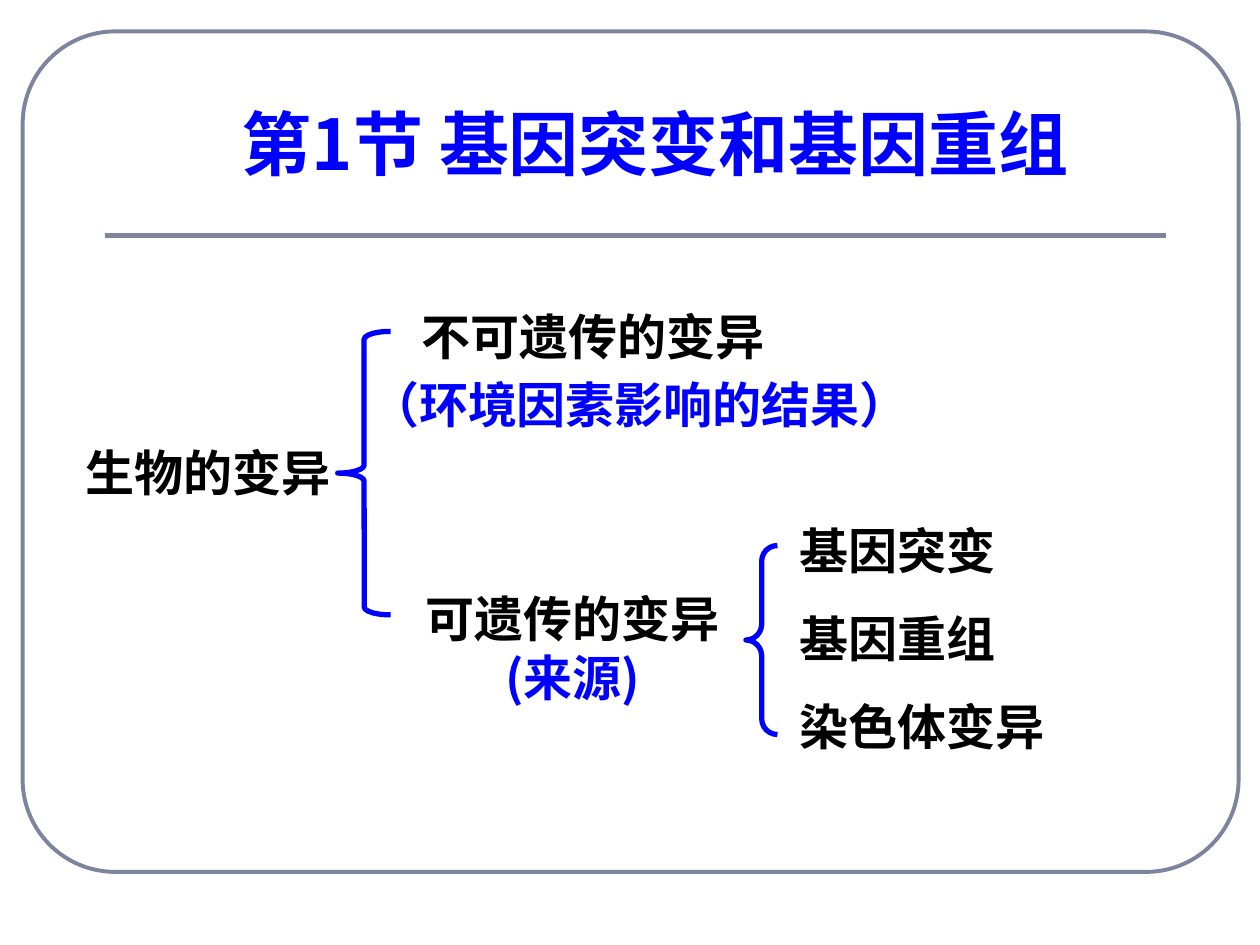
from dataclasses import dataclass

from lxml import etree
from pptx import Presentation
from pptx.dml.color import RGBColor
from pptx.enum import shapes, text
from pptx.oxml.ns import qn
from pptx.util import Inches, Pt


@dataclass(frozen=True)
class Theme:
    cjk_font: str = "Noto Sans CJK SC"
    latin_font: str = "Arial"
    black: RGBColor = RGBColor(0x00, 0x00, 0x00)
    blue: RGBColor = RGBColor(0x00, 0x00, 0xFF)
    frame: RGBColor = RGBColor(0x7C, 0x84, 0x9E)
    title_size: Pt = Pt(40)
    body_size: Pt = Pt(28)
    frame_line: Pt = Pt(2.25)
    heavy_line: Pt = Pt(3)


THEME = Theme()
CENTER = text.PP_ALIGN.CENTER
LABEL_HEIGHT = 0.57


def set_line(shape, color, width):
    shape.line.color.rgb = color
    shape.line.width = width


def add_outline(slide, preset, box, adjustments, color, width):
    """Add an unfilled preset shape in box (left, top, width, height)."""
    shape = slide.shapes.add_shape(preset, *map(Inches, box))
    shape.shadow.inherit = False
    shape.fill.background()
    for index, value in enumerate(adjustments):
        shape.adjustments[index] = value
    set_line(shape, color, width)


def add_label(slide, box, lines, size=THEME.body_size, font=THEME.cjk_font,
              align=None, wrap=True):
    """Add bold text; lines is a list of (wording, color) pairs."""
    frame = slide.shapes.add_textbox(*map(Inches, box)).text_frame
    frame.word_wrap = wrap
    for index, (wording, color) in enumerate(lines):
        paragraph = frame.add_paragraph() if index else frame.paragraphs[0]
        paragraph.alignment = align
        run = paragraph.add_run()
        run.text = wording
        for name, value in {"size": size, "bold": True, "name": font}.items():
            setattr(run.font, name, value)
        run.font.color.rgb = color
        east_asian = etree.Element(qn("a:ea"), typeface=THEME.cjk_font)
        run._r.rPr.find(qn("a:latin")).addnext(east_asian)


def add_frame(slide, box):
    left, top, width, _ = box
    add_outline(slide, shapes.MSO_SHAPE.ROUNDED_RECTANGLE, box, [0.11],
                THEME.frame, THEME.frame_line)
    rule_left, rule_top = left + 0.65, top + 1.62
    rule = slide.shapes.add_connector(
        shapes.MSO_CONNECTOR.STRAIGHT, Inches(rule_left), Inches(rule_top),
        Inches(left + width - 0.58), Inches(rule_top))
    set_line(rule, THEME.frame, THEME.heavy_line)
    etree.SubElement(rule._element.spPr, qn("a:effectLst"))


def add_title(slide, box):
    add_label(slide, box, [("第1节 基因突变和基因重组", THEME.blue)],
              size=THEME.title_size, align=CENTER)


def add_brace(slide, box, curve):
    add_outline(slide, shapes.MSO_SHAPE.LEFT_BRACE, box, [curve, 0.5],
                THEME.blue, THEME.heavy_line)


def add_variation_branches(slide, box):
    """Place the root, its brace and the two kinds of variation."""
    left, top, _, _ = box
    add_label(slide, (left, top + 1.08, 3.08, LABEL_HEIGHT),
              [("生物的变异", THEME.black)])
    add_brace(slide, (left + 2.1, top + 0.25, 0.42, 2.25), 0.15)
    add_label(slide, (left + 2.67, top, 4.55, LABEL_HEIGHT),
              [("不可遗传的变异", THEME.black)])
    add_label(slide, (left + 2.6, top + 2.24, 2.73, 1.04),
              [("可遗传的变异", THEME.black), ("(来源)", THEME.blue)],
              align=CENTER)
    add_label(slide, (left + 2.26, top + 0.54, 4.47, LABEL_HEIGHT),
              [("（环境因素影响的结果）", THEME.blue)],
              font=THEME.latin_font, wrap=False)


def add_sources(slide, box):
    """Place the brace and the three sources of heritable variation."""
    left, top, width, _ = box
    add_brace(slide, (left, top + 0.25, 0.25, 1.5), 0.5)
    for row, source in enumerate(("基因突变", "基因重组", "染色体变异")):
        add_label(slide, (left + 0.33, top + 0.7 * row, width - 0.33, LABEL_HEIGHT),
                  [(source, THEME.black)])


def main():
    presentation = Presentation()
    presentation.slide_width, presentation.slide_height = Inches(10), Inches(7.5)
    slide = presentation.slides.add_slide(presentation.slide_layouts[6])
    add_frame(slide, (0.18, 0.25, 9.65, 6.67))
    add_title(slide, (1.45, 0.75, 7.5, 1.08))
    add_variation_branches(slide, (0.58, 2.38, 7.22, 3.28))
    add_sources(slide, (5.92, 4.08, 3.06, 1.97))
    presentation.save("out.pptx")


if __name__ == "__main__":
    main()
